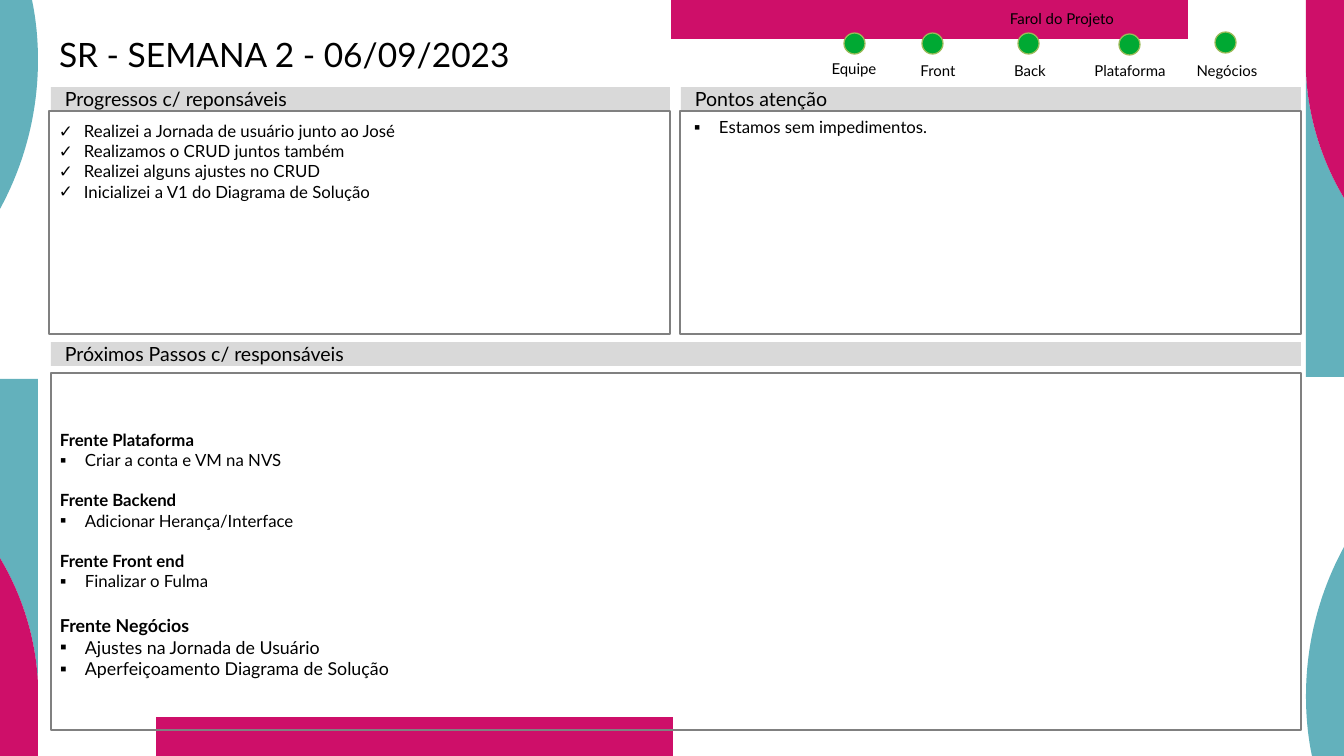
from collections import namedtuple
from dataclasses import dataclass

from lxml.etree import SubElement
from pptx import Presentation
from pptx.dml.color import RGBColor
from pptx.enum.shapes import MSO_SHAPE
from pptx.enum.text import MSO_ANCHOR, MSO_AUTO_SIZE, PP_ALIGN
from pptx.oxml.ns import qn
from pptx.util import Pt

SCALE = 10000  # EMU per pixel
WIDTH, HEIGHT = 1344, 756
Box = namedtuple("Box", "left top width height")
Line = namedtuple("Line", "text bullet bold size space_before", defaults=(None, False, 13.2, 0))


@dataclass(frozen=True)
class Theme:
    font: str = "Lato"
    text: str = "000000"
    teal: str = "63B1BC"
    magenta: str = "CE0F69"
    header: str = "D9D9D9"
    border: str = "808080"
    light: str = "00A933"
    light_border: str = "9BBB59"
    title_size: float = 26.4
    header_size: float = 15.4
    body_size: float = 13.2
    last_size: float = 14
    label_size: float = 11.8


THEME = Theme()


def px(*lengths):
    return [round(length * SCALE) for length in lengths]


def add_run(paragraph, text, size, bold=False):
    run = paragraph.add_run()
    run.text = text
    run.font.name, run.font.size, run.font.bold = THEME.font, Pt(size), bold
    run.font.color.rgb = RGBColor.from_string(THEME.text)


def set_frame(shape, anchor, left=0, top=0, bottom=0, wrap=True):
    frame = shape.text_frame
    frame.auto_size = MSO_AUTO_SIZE.NONE
    frame.word_wrap, frame.vertical_anchor = wrap, anchor
    frame.margin_left, frame.margin_top, frame.margin_bottom = px(left, top, bottom)
    frame.margin_right = frame.margin_left
    return frame


def paint(shape, fill=None, line=None):
    shape.shadow.inherit = False
    if fill:
        shape.fill.solid()
        shape.fill.fore_color.rgb = RGBColor.from_string(fill)
    else:
        shape.fill.background()
    if line:
        shape.line.color.rgb = RGBColor.from_string(line)
        shape.line.width = Pt(1)
    else:
        shape.line.fill.background()


def add_block(slide, box, fill=None, line=None, preset=MSO_SHAPE.RECTANGLE):
    shape = slide.shapes.add_shape(preset, *px(*box))
    paint(shape, fill, line)
    return shape


def add_outline(slide, points, curves, color):
    """Closed outline whose last points, three for each curve, become cubic curves."""
    builder = slide.shapes.build_freeform(*points[0], scale=SCALE)
    builder.add_line_segments(points[1:], close=True)
    shape = builder.convert_to_shape()
    paint(shape, color)
    segments = list(shape._element.iter(qn("a:lnTo")))[len(points) - 1 - 3 * curves:]
    for start in range(0, 3 * curves, 3):
        first, *others = segments[start:start + 3]
        first.tag = qn("a:cubicBezTo")
        for segment in others:
            first.append(segment[0])
            segment.getparent().remove(segment)


def add_decoration(slide, box):
    """Edge shapes, each repeated after a half turn about the centre of the box."""
    outlines = [
        (THEME.teal, 2, [(32, 0), (0, 0), (0, 209), (24, 165), (38, 114), (38, 60),
                         (38, 39), (36, 19), (32, 0)]),
        (THEME.teal, 1, [(38, 684), (38, 379), (0, 379), (0, 558), (22, 595), (36, 638), (38, 684)]),
        (THEME.magenta, 1, [(0, 558), (0, 756), (38, 756), (38, 684), (36, 638), (22, 595), (0, 558)]),
        (THEME.magenta, 0, [(156, 717), (673, 717), (673, 756), (156, 756)]),
    ]
    for color, curves, outline in outlines:
        turned = [(box.width - x, box.height - y) for x, y in outline]
        for points in (outline, turned):
            add_outline(slide, [(box.left + x, box.top + y) for x, y in points], curves, color)


def set_title(slide, box, text):
    title = slide.shapes.title
    title.left, title.top, title.width, title.height = px(*box)
    paragraph = set_frame(title, MSO_ANCHOR.TOP, left=11).paragraphs[0]
    paragraph.alignment, paragraph.line_spacing = PP_ALIGN.LEFT, 0.9
    add_run(paragraph, text, THEME.title_size)


def write_label(shape, text):
    paragraph = set_frame(shape, MSO_ANCHOR.BOTTOM, wrap=False).paragraphs[0]
    paragraph.alignment = PP_ALIGN.CENTER
    add_run(paragraph, text, THEME.label_size)


def add_status_lights(slide, box, heading, lights):
    """Each light: name, light centre, light top, label centre, label top."""
    write_label(add_block(slide, Box(box.left + 156, box.top, 148, 21), THEME.magenta), heading)
    for name, center, top, label_center, label_top in lights:
        light = Box(box.left + center - 10, box.top + top, 21, 21)
        add_block(slide, light, THEME.light, THEME.light_border, MSO_SHAPE.OVAL)
        label = Box(box.left + label_center - 45, box.top + label_top, 90, 18)
        write_label(slide.shapes.add_textbox(*px(*label)), name)


def add_bullet(paragraph, character):
    properties = paragraph._p.get_or_add_pPr()
    indent, = px(25)
    properties.set("marL", str(indent))
    properties.set("indent", str(-indent))
    SubElement(properties, qn("a:buFont")).set("typeface", THEME.font)
    SubElement(properties, qn("a:buChar")).set("char", character)


def add_panel(slide, box, heading, lines, margins, anchor=MSO_ANCHOR.TOP, shift=0, gap=0):
    """Grey heading bar above a bordered body."""
    bar_height = 24
    bar = add_block(slide, Box(box.left + shift, box.top, box.width - shift, bar_height), THEME.header)
    paragraph = set_frame(bar, MSO_ANCHOR.MIDDLE, left=14).paragraphs[0]
    paragraph.alignment = PP_ALIGN.LEFT
    add_run(paragraph, heading, THEME.header_size)

    offset = bar_height + gap
    body_box = Box(box.left, box.top + offset, box.width, box.height - offset)
    body = add_block(slide, body_box, line=THEME.border)
    frame = set_frame(body, anchor, *margins)
    for index, line in enumerate(lines):
        paragraph = frame.add_paragraph() if index else frame.paragraphs[0]
        paragraph.alignment = PP_ALIGN.LEFT
        paragraph.space_before = Pt(line.space_before)
        if line.bullet:
            add_bullet(paragraph, line.bullet)
        add_run(paragraph, line.text, line.size, line.bold)


def front_lines(fronts):
    """Bold front names, each followed by its bulleted steps."""
    lines = []
    for name, size, space_before, steps in fronts:
        lines.append(Line(name, None, True, size, space_before))
        lines += [Line(step, "▪", size=size) for step in steps]
    return lines


presentation = Presentation()
presentation.slide_width, presentation.slide_height = px(WIDTH, HEIGHT)
slide = presentation.slides.add_slide(presentation.slide_layouts[5])

# Edges and title
add_decoration(slide, Box(0, 0, WIDTH, HEIGHT))
set_title(slide, Box(48, 39, 1210, 79), "SR - SEMANA 2 - 06/09/2023")

# Project status
add_status_lights(slide, Box(832, 6, 430, 74), "Farol do Projeto", [
    ("Equipe", 22, 27, 22, 54),
    ("Front", 100, 27, 106, 56),
    ("Back", 196, 27, 198, 56),
    ("Plataforma", 297, 28, 298, 56),
    ("Negócios", 393, 26, 395, 56),
])

# Progress and points of attention
progress = ["Realizei a Jornada de usuário junto ao José", "Realizamos o CRUD juntos também",
            "Realizei alguns ajustes no CRUD", "Inicializei a V1 do Diagrama de Solução"]
add_panel(slide, Box(49, 87, 621, 247), "Progressos c/ reponsáveis",
          [Line(text, "✓") for text in progress], (10, 10, 5), shift=2)
add_panel(slide, Box(680, 87, 621, 247), "Pontos atenção",
          [Line("Estamos sem impedimentos.", "▪")], (14, 6, 5), shift=1)

# Next steps
add_panel(slide, Box(51, 342, 1250, 388), "Próximos Passos c/ responsáveis", front_lines([
    ("Frente Plataforma", THEME.body_size, 0, ["Criar a conta e VM na NVS"]),
    ("Frente Backend", THEME.body_size, 15.8, ["Adicionar Herança/Interface"]),
    ("Frente Front end", THEME.body_size, 15.8, ["Finalizar o Fulma"]),
    ("Frente Negócios", THEME.last_size, 19.2,
     ["Ajustes na Jornada de Usuário", "Aperfeiçoamento Diagrama de Solução"]),
]), (9, 11, 5), MSO_ANCHOR.MIDDLE, gap=7)

presentation.save("out.pptx")
